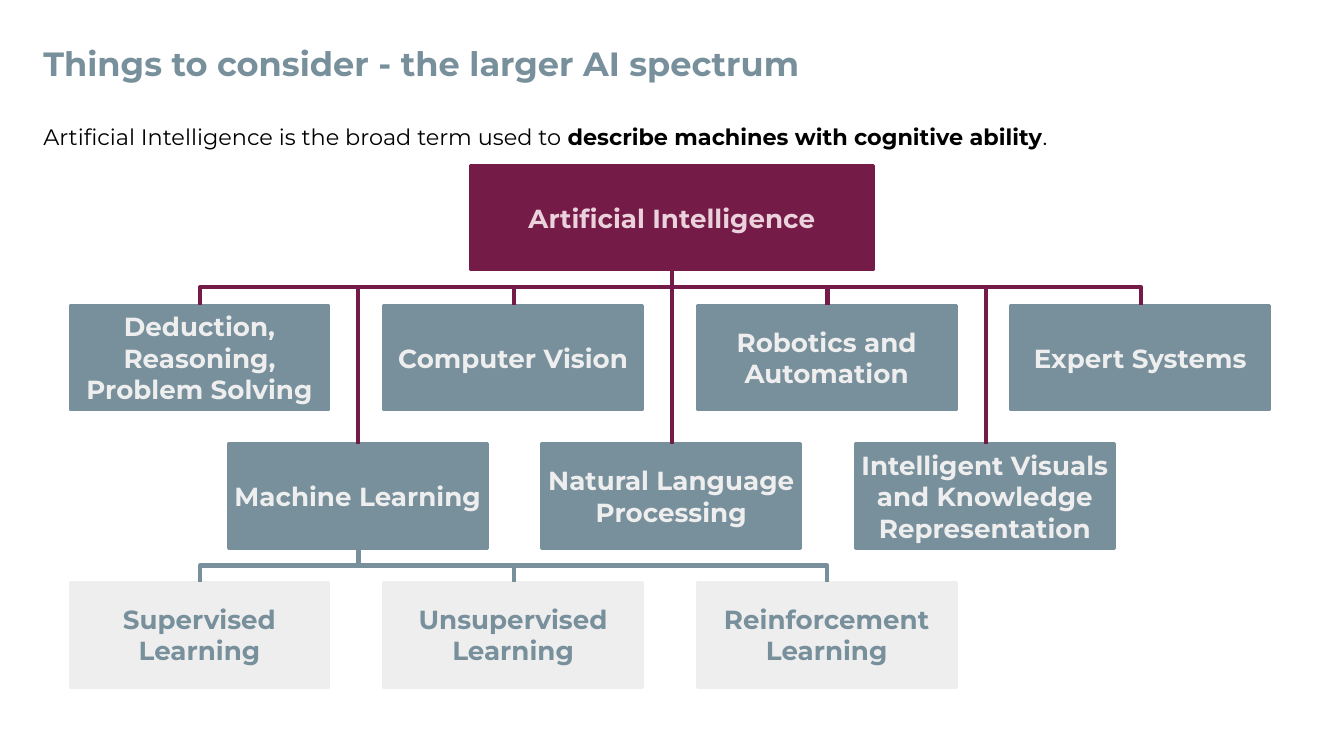
from lxml import etree
from pptx import Presentation
from pptx.dml.color import RGBColor
from pptx.enum.shapes import MSO_CONNECTOR, MSO_SHAPE
from pptx.enum.text import MSO_ANCHOR, MSO_AUTO_SIZE, PP_ALIGN
from pptx.oxml.ns import qn
from pptx.util import Pt

PX = 9525
FONT = "Montserrat"
RECT = MSO_SHAPE.RECTANGLE
ELBOW = MSO_CONNECTOR.ELBOW
MIDDLE = MSO_ANCHOR.MIDDLE
CENTER, LEFT = PP_ALIGN.CENTER, PP_ALIGN.LEFT
HEX = {"wine": "741B47", "pink": "EAD1DC", "slate": "78909C",
       "pale": "EEEEEE", "black": "000000"}
COLOR = {name: RGBColor.from_string(code) for name, code in HEX.items()}

BOX_W, BOX_H = 185, 75
STEP_X, STEP_Y = 224, 99
ROOT_Y, TOP_Y = 118, 218
MID_Y, LOW_Y = TOP_Y + STEP_Y, TOP_Y + 2 * STEP_Y
BEND = 12

deck = Presentation()
deck.slide_width, deck.slide_height = 960 * PX, 540 * PX
slide = deck.slides.add_slide(deck.slide_layouts[5])
shapes = slide.shapes


def write(shape, runs, size, color, align, pads):
    frame = shape.text_frame
    frame.word_wrap = True
    frame.auto_size = MSO_AUTO_SIZE.NONE
    frame.margin_left = frame.margin_right = pads[0] * PX
    frame.margin_top = frame.margin_bottom = pads[1] * PX
    para = frame.paragraphs[0]
    para.alignment = align
    for text, bold in runs:
        run = para.add_run()
        run.text = text
        run.font.name = FONT
        run.font.size = Pt(size)
        run.font.bold = bold
        run.font.color.rgb = COLOR[color]
    return frame


def link(x1, y1, x2, y2, color):
    drop, span = y2 - y1, abs(x2 - x1)
    left = (x1 + x2 - drop) * PX // 2
    top = (y1 + y2 - span) * PX // 2
    ends = [left, left + drop * PX]
    turn = 90
    if x2 >= x1:
        ends.reverse()
        turn = 270
    line = shapes.add_connector(ELBOW, ends[0], top, ends[1], top + span * PX)
    line.line.color.rgb = COLOR[color]
    line.line.width = Pt(2.25)
    props = line._element.spPr
    props.find(qn("a:xfrm")).set("rot", str(turn * 60000))
    guides = props.find(qn("a:prstGeom")).find(qn("a:avLst"))
    guide = etree.SubElement(guides, qn("a:gd"))
    guide.set("name", "adj1")
    guide.set("fmla", f"val {round(BEND / drop * 100000)}")
    etree.SubElement(props, qn("a:effectLst"))


title = shapes.title
title.left, title.top, title.width, title.height = 24 * PX, 13 * PX, 911 * PX, 64 * PX
frame = write(title, [("Things to consider - the larger AI spectrum", True)],
              18, "slate", LEFT, (7, 7))
frame.vertical_anchor = MIDDLE

intro = shapes.add_textbox(24 * PX, 78 * PX, 910 * PX, 37 * PX)
frame = write(intro, [("Artificial Intelligence is the broad term used to ", False),
                      ("describe machines with cognitive ability", True),
                      (".", False)], 12, "black", LEFT, (7, 4))
frame.paragraphs[0].line_spacing = 1.3

rows = [
    (336, ROOT_Y, 288, "wine", "pink", ["Artificial Intelligence"]),
    (50, TOP_Y, BOX_W, "slate", "pale",
     ["Deduction, Reasoning, Problem Solving", "Computer Vision",
      "Robotics and Automation", "Expert Systems"]),
    (163, MID_Y, BOX_W, "slate", "pale",
     ["Machine Learning", "Natural Language Processing",
      "Intelligent Visuals and Knowledge Representation"]),
    (50, LOW_Y, BOX_W, "pale", "slate",
     ["Supervised Learning", "Unsupervised Learning", "Reinforcement Learning"]),
]
mids = {}
for start, y, wide, fill, ink, names in rows:
    mids[y] = []
    for col, name in enumerate(names):
        x = start + col * STEP_X
        box = shapes.add_shape(RECT, x * PX, y * PX, wide * PX, BOX_H * PX)
        box.shadow.inherit = False
        box.fill.solid()
        box.fill.fore_color.rgb = COLOR[fill]
        box.line.color.rgb = COLOR[fill]
        box.line.width = Pt(1.5)
        frame = write(box, [(name, True)], 14, ink, CENTER, (3, 3))
        frame.vertical_anchor = MIDDLE
        mids[y].append(x + (wide + 1) // 2)

for source, target, color in [(ROOT_Y, MID_Y, "wine"), (ROOT_Y, TOP_Y, "wine"),
                              (MID_Y, LOW_Y, "slate")]:
    for x in mids[target]:
        link(mids[source][0], source + BOX_H, x, target, color)

deck.save("out.pptx")
